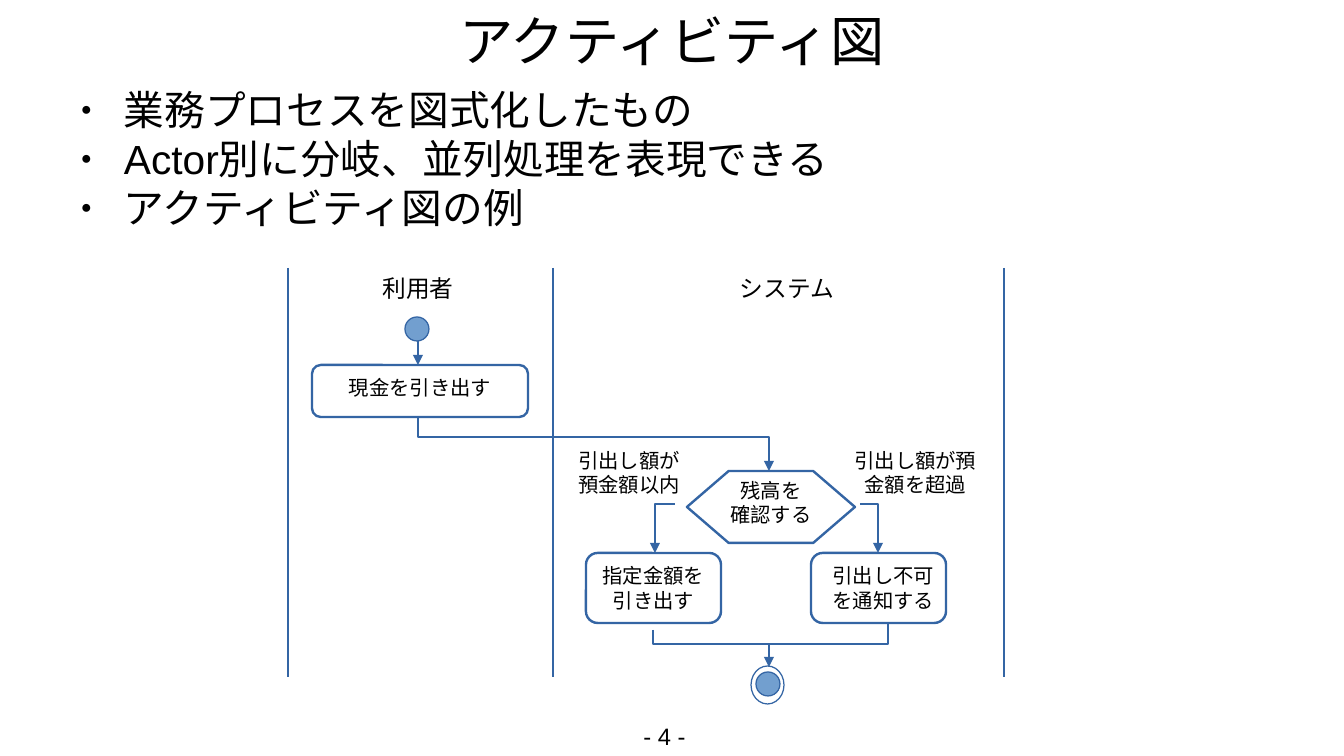
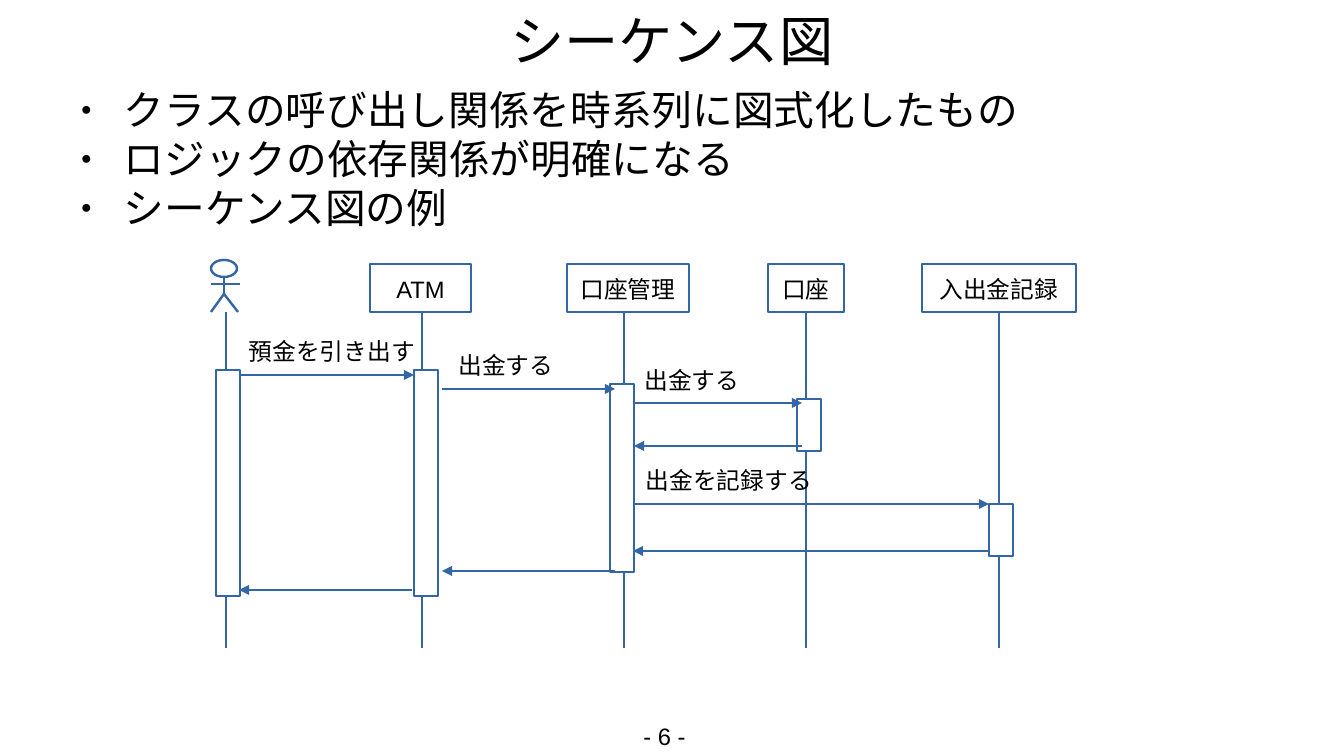
from lxml import etree
from pptx import Presentation
from pptx.dml.color import RGBColor
from pptx.enum.shapes import MSO_CONNECTOR, MSO_SHAPE
from pptx.enum.text import MSO_ANCHOR, MSO_AUTO_SIZE, PP_ALIGN
from pptx.oxml.ns import qn
from pptx.util import Emu, Pt

# Shared scale and style
EMU_PER_PX = 914400 / 122
SLIDE_SIZE = (1344, 756)
FONT = "Arial"
BLACK, WHITE = "000000", "FFFFFF"
LINE_BLUE, FILL_BLUE = "3465A4", "729FCF"
LINE_WIDTH = 1.42
TITLE_SIZE, BODY_SIZE, LABEL_SIZE, STEP_SIZE = 32, 24, 14, 12
TITLE_BOX = (67, 4, 1210, 71)
BODY_BOX = (67, 85, 1210, 178)
PAGE_BOX = (601, 716, 127, 43)
BULLET_MARGIN, BULLET_INDENT = 57, -43
NO_MARGINS = (0, 0, 0, 0)
LABEL_MARGINS = (12, 6, 12, 6)

RECTANGLE = MSO_SHAPE.RECTANGLE
ROUNDED = MSO_SHAPE.ROUNDED_RECTANGLE
HEXAGON = MSO_SHAPE.HEXAGON
OVAL = MSO_SHAPE.OVAL
STRAIGHT = MSO_CONNECTOR.STRAIGHT
TOP, MIDDLE = MSO_ANCHOR.TOP, MSO_ANCHOR.MIDDLE
LEFT, CENTER = PP_ALIGN.LEFT, PP_ALIGN.CENTER
NO_AUTOFIT = MSO_AUTO_SIZE.NONE
BOTTOM_SIDE = 2


def px(value):
    return Emu(round(value * EMU_PER_PX))


def color(hex_string):
    return RGBColor.from_string(hex_string)


def add_bullet(paragraph):
    properties = paragraph._p.get_or_add_pPr()
    properties.set("marL", str(px(BULLET_MARGIN)))
    properties.set("indent", str(px(BULLET_INDENT)))
    for tag, attribute, value in (("a:buSzPct", "val", "45000"),
                                  ("a:buFont", "typeface", FONT),
                                  ("a:buChar", "char", "●")):
        etree.SubElement(properties, qn(tag)).set(attribute, value)


def write_text(shape, lines, size, margins=NO_MARGINS, anchor=MIDDLE,
               align=CENTER, wrap=True, bullets=False):
    frame = shape.text_frame
    frame.auto_size = NO_AUTOFIT
    frame.word_wrap = wrap
    frame.vertical_anchor = anchor
    (frame.margin_left, frame.margin_top,
     frame.margin_right, frame.margin_bottom) = map(px, margins)
    for index, line in enumerate(lines):
        paragraph = frame.add_paragraph() if index else frame.paragraphs[0]
        paragraph.alignment = align
        if bullets:
            add_bullet(paragraph)
        run = paragraph.add_run()
        run.text = line
        run.font.name = FONT
        run.font.size = Pt(size)
        run.font.color.rgb = color(BLACK)


def add_label(shapes, box, lines, size=LABEL_SIZE, margins=LABEL_MARGINS, **options):
    label = shapes.add_textbox(*map(px, box))
    write_text(label, lines, size, margins, TOP, **options)


def style_line(shape, width=LINE_WIDTH, arrow=False):
    shape.line.color.rgb = color(LINE_BLUE)
    shape.line.width = Pt(width)
    if arrow:
        outline = shape._element.spPr.find(qn("a:ln"))
        etree.SubElement(outline, qn("a:tailEnd")).set("type", "triangle")


def add_figure(shapes, kind, box, fill=None, width=LINE_WIDTH):
    figure = shapes.add_shape(kind, *map(px, box))
    if fill:
        figure.fill.solid()
        figure.fill.fore_color.rgb = color(fill)
    else:
        figure.fill.background()
    style_line(figure, width)
    figure.shadow.inherit = False
    return figure


def add_line(shapes, start, end, arrow=False):
    line = shapes.add_connector(STRAIGHT, *map(px, start + end))
    style_line(line, arrow=arrow)
    etree.SubElement(line._element.spPr, qn("a:effectLst"))
    return line


def add_bent_line(shapes, points, arrow=True):
    builder = shapes.build_freeform(*points[0], scale=EMU_PER_PX)
    builder.add_line_segments(points[1:], close=False)
    bent_line = builder.convert_to_shape()
    bent_line.fill.background()
    style_line(bent_line, arrow=arrow)
    bent_line.shadow.inherit = False


def add_slide(presentation, title, bullets, page):
    slide = presentation.slides.add_slide(presentation.slide_layouts[5])
    heading = slide.shapes.title
    heading.left, heading.top, heading.width, heading.height = map(px, TITLE_BOX)
    write_text(heading, [title], TITLE_SIZE)
    add_label(slide.shapes, BODY_BOX, bullets, BODY_SIZE, NO_MARGINS,
              align=LEFT, bullets=True)
    add_label(slide.shapes, PAGE_BOX, [f"- {page} -"])
    return slide.shapes


def draw_activity(shapes):
    # Swimlanes
    for x in (288, 553, 1004):
        add_line(shapes, (x, 268), (x, 677))
    for x, name in ((298, "利用者"), (667, "システム")):
        add_label(shapes, (x, 268, 240, 48), [name])

    # Start and end marks
    add_figure(shapes, OVAL, (405, 317, 24, 24), FILL_BLUE, 0)
    end_mark = shapes.add_group_shape().shapes
    add_figure(end_mark, OVAL, (756, 672, 24, 24), FILL_BLUE, 0)
    add_figure(end_mark, OVAL, (751, 666, 33, 38), width=0)

    # Steps and decision
    steps = (
        (ROUNDED, (312, 365, 216, 52), ["現金を引き出す"], (0, 0, 0, 7)),
        (HEXAGON, (687, 471, 168, 72), ["残高を", "確認する"], (0, 0, 0, 9)),
        (ROUNDED, (586, 553, 135, 70), ["指定金額を引き出す"], (12, 0, 12, 0)),
        (ROUNDED, (811, 553, 135, 70), ["引出し不可を通知する"], (17, 0, 7, 0)),
    )
    for kind, box, lines, margins in steps:
        step = add_figure(shapes, kind, box)
        if kind == HEXAGON:
            step.adjustments[0] = 0.58
        write_text(step, lines, STEP_SIZE, margins, wrap=kind == ROUNDED)

    # Branch conditions
    for box, condition in (((562, 442, 134, 66), "引出し額が預金額以内"),
                           ((841, 442, 149, 66), "引出し額が預金額を超過")):
        add_label(shapes, box, [condition], STEP_SIZE)

    # Flow
    add_line(shapes, (418, 341), (418, 365), arrow=True)
    add_bent_line(shapes, [(418, 418), (418, 437), (769, 437), (769, 471)])
    add_bent_line(shapes, [(675, 504), (655, 504), (655, 553)])
    add_bent_line(shapes, [(860, 504), (878, 504), (878, 553)])
    add_bent_line(shapes, [(653, 630), (653, 644), (888, 644), (888, 622)], arrow=False)
    add_line(shapes, (769, 644), (769, 667), arrow=True)


def draw_actor(shapes):
    actor = shapes.add_group_shape().shapes
    add_figure(actor, OVAL, (211, 260, 26, 17))
    hip = (224, 294)
    for start, end in (((211, 284), (240, 284)), ((224, 277), hip),
                       (hip, (211, 312)), (hip, (238, 312))):
        add_line(actor, start, end)


def draw_sequence(shapes):
    draw_actor(shapes)

    # Participants and lifelines: left, width, name, lifeline x
    add_line(shapes, (226, 312), (226, 648))
    participants = (
        (370, 101, "ATM", 422),
        (567, 122, "口座管理", 624),
        (768, 76, "口座", 806),
        (922, 154, "入出金記録", 999),
    )
    for left, width, name, x in participants:
        participant = add_figure(shapes, RECTANGLE, (left, 264, width, 48))
        write_text(participant, [name], LABEL_SIZE, (0, 3, 0, 0), wrap=False)
        lifeline = add_line(shapes, (x, 312), (x, 648))
        if left + width / 2 == x:
            lifeline.begin_connect(participant, BOTTOM_SIDE)

    # Activation bars
    for x, y, height in ((216, 370, 226), (414, 370, 226), (610, 384, 188),
                         (797, 399, 52), (989, 504, 52)):
        add_figure(shapes, RECTANGLE, (x, y, 24, height), WHITE)

    # Calls and returns
    for start_x, end_x, y in ((240, 414, 375), (442, 615, 389), (634, 802, 403),
                              (802, 634, 446), (634, 989, 504), (988, 633, 551),
                              (615, 442, 571), (412, 239, 590)):
        add_line(shapes, (start_x, y), (end_x, y), arrow=True)
    for x, y, width, message in ((237, 331, 190, "預金を引き出す"),
                                 (440, 345, 132, "出金する"),
                                 (632, 360, 120, "出金する"),
                                 (634, 460, 190, "出金を記録する")):
        add_label(shapes, (x, y, width, 43), [message], wrap=False)


def main():
    presentation = Presentation()
    presentation.slide_width, presentation.slide_height = map(px, SLIDE_SIZE)
    draw_activity(add_slide(presentation, "アクティビティ図", [
        "業務プロセスを図式化したもの",
        "Actor別に分岐、並列処理を表現できる",
        "アクティビティ図の例",
    ], 4))
    draw_sequence(add_slide(presentation, "シーケンス図", [
        "クラスの呼び出し関係を時系列に図式化したもの",
        "ロジックの依存関係が明確になる",
        "シーケンス図の例",
    ], 6))
    presentation.save("out.pptx")


if __name__ == "__main__":
    main()
